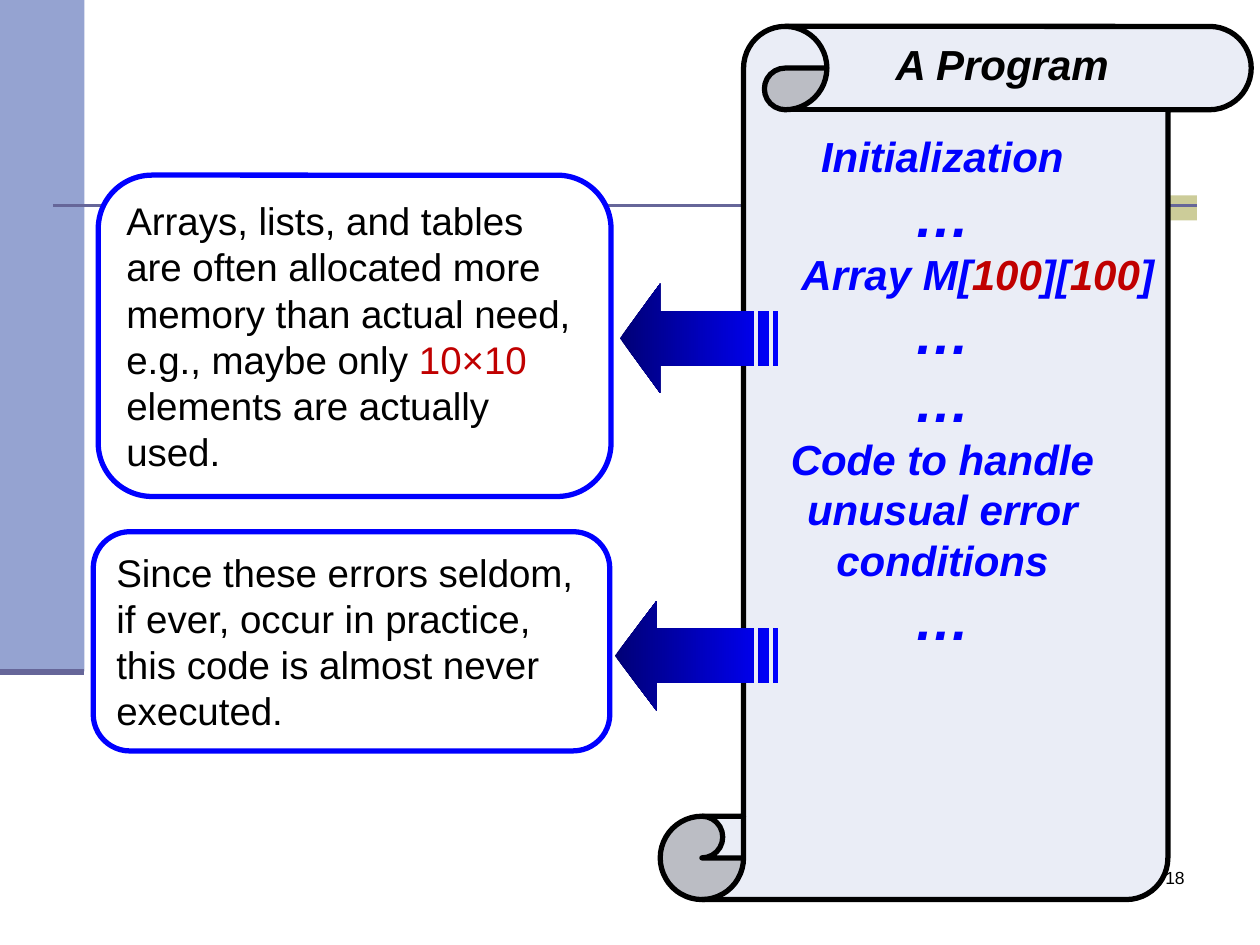
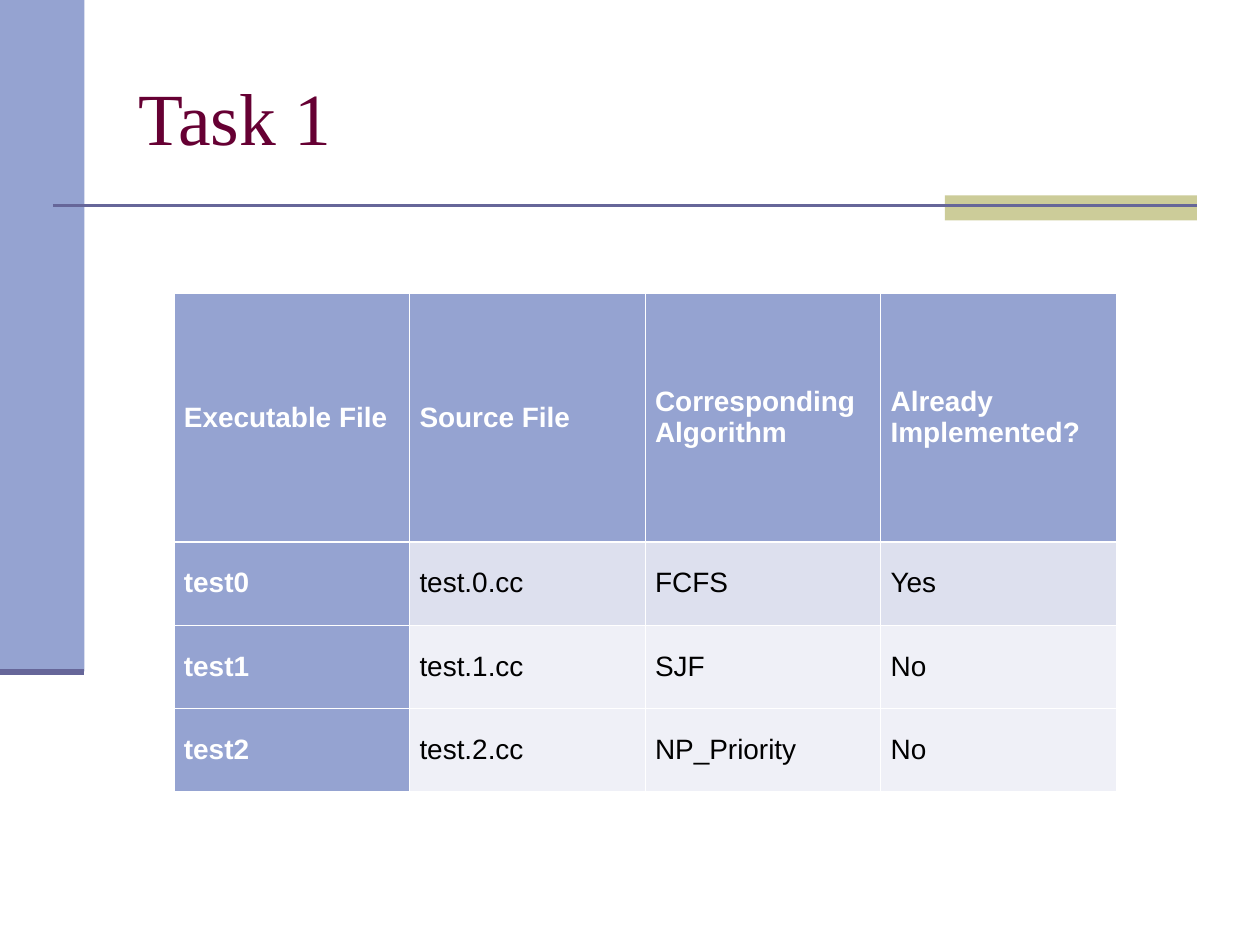
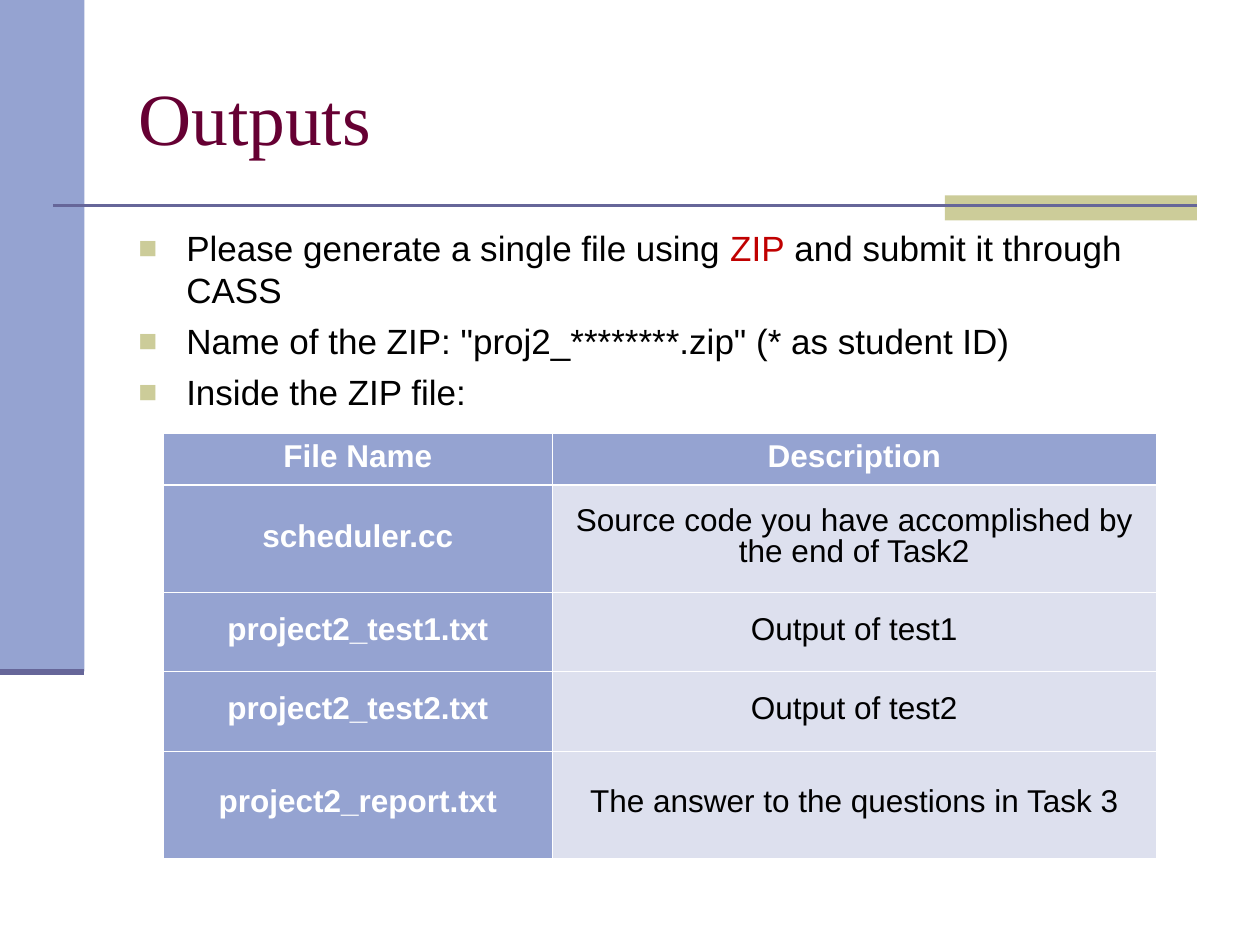
from lxml import etree
from pptx import Presentation
from pptx import util as u
from pptx.dml.color import RGBColor
from pptx.enum import shapes, text
from pptx.oxml import ns

prs = Presentation()
prs.slide_width, prs.slide_height = u.Inches(10), u.Inches(7.5)
cell = prs.slide_width // 1000  # grid of 1000 columns by 750 rows

BAND, KHAKI, RULE, TITLE = "95A3D1", "CCCC99", "666699", "660033"
BLACK, WHITE, BLUE, NAVY, RED = "000000", "FFFFFF", "0000FF", "000076", "C00000"
PALE, PALER, PAPER = "DDE0EE", "EFF0F7", "EAEDF6"
LEFT, CENTER, RIGHT = text.PP_ALIGN.LEFT, text.PP_ALIGN.CENTER, text.PP_ALIGN.RIGHT
MIDDLE, TOP = text.MSO_ANCHOR.MIDDLE, text.MSO_ANCHOR.TOP


def rgb(value):
    return RGBColor.from_string(value)


def write(tf, paragraphs, align=LEFT, anchor=TOP, **base):
    """Each paragraph is a list of (text, font overrides) runs."""
    tf.word_wrap, tf.vertical_anchor = True, anchor
    for i, runs in enumerate(paragraphs):
        p = tf.add_paragraph() if i else tf.paragraphs[0]
        p.alignment = align
        for words, extra in runs:
            r = p.add_run()
            r.text = words
            for key, value in {"name": "Arial", "color": BLACK, **base, **extra}.items():
                if key == "color":
                    r.font.color.rgb = rgb(value)
                elif key == "size":
                    r.font.size = u.Pt(value)
                else:
                    setattr(r.font, key, value)


# Shared bands, rules and titles
slides = []
for title in (None, "Task 1", "Outputs"):
    s = prs.slides.add_slide(prs.slide_layouts[6])
    slides.append(s)
    for box, color in (((0, 0, 67, 533), BAND), ((750, 155, 200, 20), KHAKI)):
        sp = s.shapes.add_shape(shapes.MSO_SHAPE.RECTANGLE, *(n * cell for n in box))
        sp.shadow.inherit = False
        sp.fill.solid()
        sp.fill.fore_color.rgb = rgb(color)
        sp.line.fill.background()
    for ends, width in (((42, 163, 950, 163), 1.5), ((0, 533, 67, 533), 3.5)):
        rule = s.shapes.add_connector(shapes.MSO_CONNECTOR.STRAIGHT, *(n * cell for n in ends))
        rule.line.color.rgb = rgb(RULE)
        rule.line.width = u.Pt(width)
        etree.SubElement(rule._element.spPr, ns.qn("a:effectLst"))
    if title:
        sp = s.shapes.add_textbox(*(n * cell for n in (100, 30, 850, 125)))
        write(sp.text_frame, [[(title, {})]], anchor=MIDDLE,
              name="Times New Roman", size=42, color=TITLE)

# Slide 1: callouts and program scroll
s = slides[0]
red = {"color": RED}
errors = [("Since these errors seldom, if ever, occur in practice, "
           "this code is almost never executed.", {})]
arrays = [("Arrays, lists, and tables are often allocated more memory than actual need, "
           "e.g., maybe only ", {}), ("10×10", red), (" elements are actually used.", {})]
ROUND, SCROLL = shapes.MSO_SHAPE.ROUNDED_RECTANGLE, shapes.MSO_SHAPE.VERTICAL_SCROLL
for kind, box, adj, fill, line, runs in (
        (ROUND, (74, 422, 410, 174), 0.167, WHITE, BLUE, errors),
        (ROUND, (78, 139, 407, 255), 0.167, WHITE, BLUE, arrays),
        (SCROLL, (524, 21, 469, 693), 0.141, PAPER, BLACK, [])):
    sp = s.shapes.add_shape(kind, *(n * cell for n in box))
    sp.shadow.inherit = False
    sp.adjustments[0] = adj
    sp.fill.solid()
    sp.fill.fore_color.rgb = rgb(fill)
    sp.line.color.rgb = rgb(line)
    sp.line.width = u.Pt(3)
    write(sp.text_frame, [runs], anchor=MIDDLE, size=22)

# Program text and slide number
dots = [("…", {"size": 32})]
array_line = [("Array M[", {}), ("100", red), ("][", {}), ("100", red), ("]", {})]
program = [[("Initialization", {})], dots, array_line, dots, dots,
           [("Code to handle unusual error conditions", {})], dots]
heavy = {"size": 24, "bold": True, "italic": True}
for box, paragraphs, align, fmt in (
        ((626, 26, 339, 50), [[("A Program", {})]], CENTER, heavy),
        ((563, 99, 370, 424), program, CENTER, {**heavy, "color": BLUE}),
        ((742, 683, 208, 50), [[("18", {})]], RIGHT, {"size": 10})):
    sp = s.shapes.add_textbox(*(n * cell for n in box))
    write(sp.text_frame, paragraphs, align, **fmt)
    if paragraphs is program:
        indented = sp.text_frame.paragraphs[program.index(array_line)]
        indented._p.get_or_add_pPr().set("marL", str(56 * cell))

# Striped arrows: tip column, base of the head, centre row
for tip, neck, mid in ((488, 521, 520.5), (492, 524, 268.5)):
    head = [(neck, 43.5), (neck, 21.5), (598, 21.5), (598, -21.5),
            (neck, -21.5), (neck, -43.5), (tip, 0)]
    stripes = [[(r, 21.5), (r, -21.5), (l, -21.5), (l, 21.5)]
               for l, r in ((602, 610), (614, 618))]
    outlines = [[(x * cell, (mid + y) * cell) for x, y in o] for o in [head, *stripes]]
    builder = s.shapes.build_freeform(*outlines[0][0])
    for i, outline in enumerate(outlines):
        if i:
            builder.move_to(*outline[0])
        builder.add_line_segments(outline[1:], close=True)
    sp = builder.convert_to_shape()
    sp.shadow.inherit = False
    sp.line.fill.background()
    sp.fill.gradient()
    sp.fill.gradient_angle = 0
    for stop, position, color in zip(sp.fill.gradient_stops, (0, 1), (NAVY, BLUE)):
        stop.position = position
        stop.color.rgb = rgb(color)

# Slide 3: bulleted instructions
sp = slides[2].shapes.add_textbox(*(n * cell for n in (100, 175, 849, 495)))
write(sp.text_frame, [
    [("Please generate a single file using", {}), (" ZIP", red),
     (" and submit it through CASS", {})],
    [('Name of the ZIP: "proj2_********.zip" (* as student ID)', {})],
    [("Inside the ZIP file:", {})]], size=20)
for i, p in enumerate(sp.text_frame.paragraphs):
    pPr = p._p.get_or_add_pPr()
    pPr.set("marL", str(38 * cell))
    pPr.set("indent", str(-38 * cell))
    bullet = etree.SubElement(pPr, ns.qn("a:buClr"))
    etree.SubElement(bullet, ns.qn("a:srgbClr"), val=KHAKI)
    etree.SubElement(pPr, ns.qn("a:buSzPct"), val="90000")
    etree.SubElement(pPr, ns.qn("a:buFont"), typeface="Arial")
    etree.SubElement(pPr, ns.qn("a:buChar"), char="■")
    if i:
        p.space_before = u.Pt(5)

# Tables on slides 2 and 3
algorithms = [
    ("Executable File", "Source File", "Corresponding Algorithm", "Already Implemented?"),
    ("test0", "test.0.cc", "FCFS", "Yes"),
    ("test1", "test.1.cc", "SJF", "No"),
    ("test2", "test.2.cc", "NP_Priority", "No")]
files = [
    ("File Name", "Description"),
    ("scheduler.cc", "Source code you have accomplished by the end of Task2"),
    ("project2_test1.txt", "Output of test1"),
    ("project2_test2.txt", "Output of test2"),
    ("project2_report.txt", "The answer to the questions in Task 3")]
for s, data, (x, y), widths, heights, fills, inset, size, align, spacing in (
        (slides[1], algorithms, (138, 233), [187] * 4, [197] + [66] * 3,
         [PALE, PALER, PALER], 8, 16, LEFT, None),
        (slides[2], files, (130, 344), [308, 480], [41, 85, 63, 63, 85],
         [PALE] * 4, 7, 18, CENTER, u.Pt(17.2))):
    frame = s.shapes.add_table(len(heights), len(widths), x * cell, y * cell,
                               sum(widths) * cell, sum(heights) * cell)
    table = frame.table
    table.first_row = table.horz_banding = False
    for column, width in zip(table.columns, widths):
        column.width = width * cell
    for row, height in zip(table.rows, heights):
        row.height = height * cell
    for i, values in enumerate(data):
        for j, value in enumerate(values):
            c = table.cell(i, j)
            is_head = i == 0 or j == 0
            c.margin_left = c.margin_right = inset * cell
            c.vertical_anchor = MIDDLE
            write(c.text_frame, [[(value, {})]], align, MIDDLE, size=size,
                  bold=is_head, color=WHITE if is_head else BLACK)
            c.text_frame.paragraphs[0].line_spacing = spacing
            for side in "LRTB":
                thick = (side, i) in (("B", 0), ("T", 1))
                ln = etree.SubElement(c._tc.get_or_add_tcPr(), ns.qn("a:ln" + side),
                                      w=str(u.Pt(1.47 if thick else 0.45)))
                fill = etree.SubElement(ln, ns.qn("a:solidFill"))
                etree.SubElement(fill, ns.qn("a:srgbClr"), val=WHITE)
            c.fill.solid()
            c.fill.fore_color.rgb = rgb(BAND if is_head else fills[i - 1])

prs.save("out.pptx")
